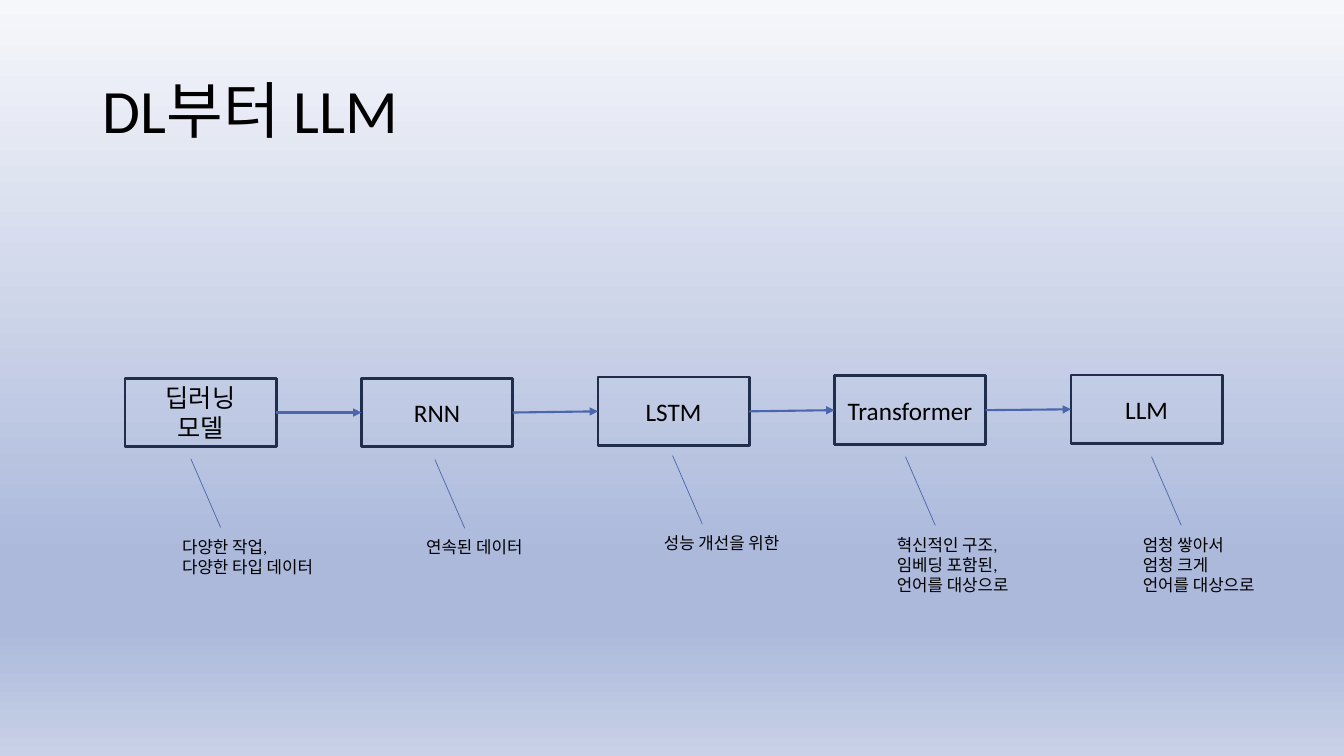
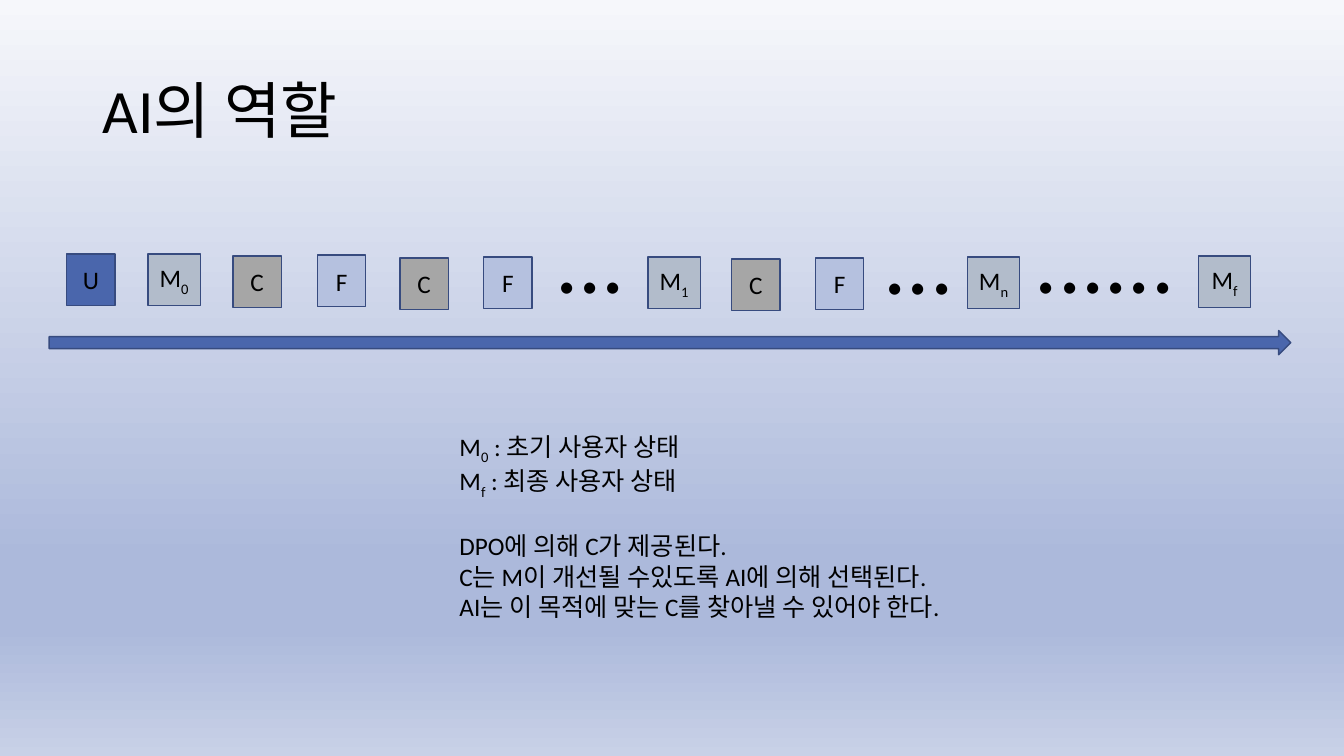
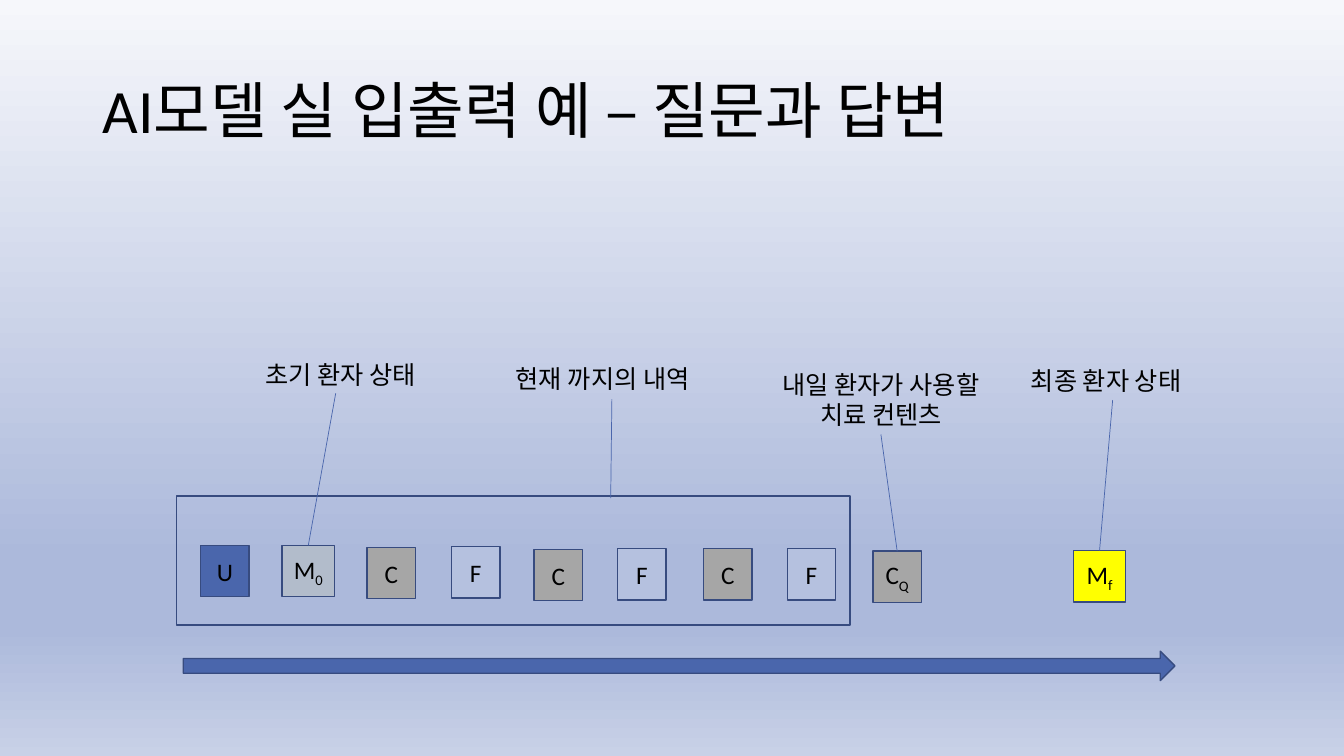
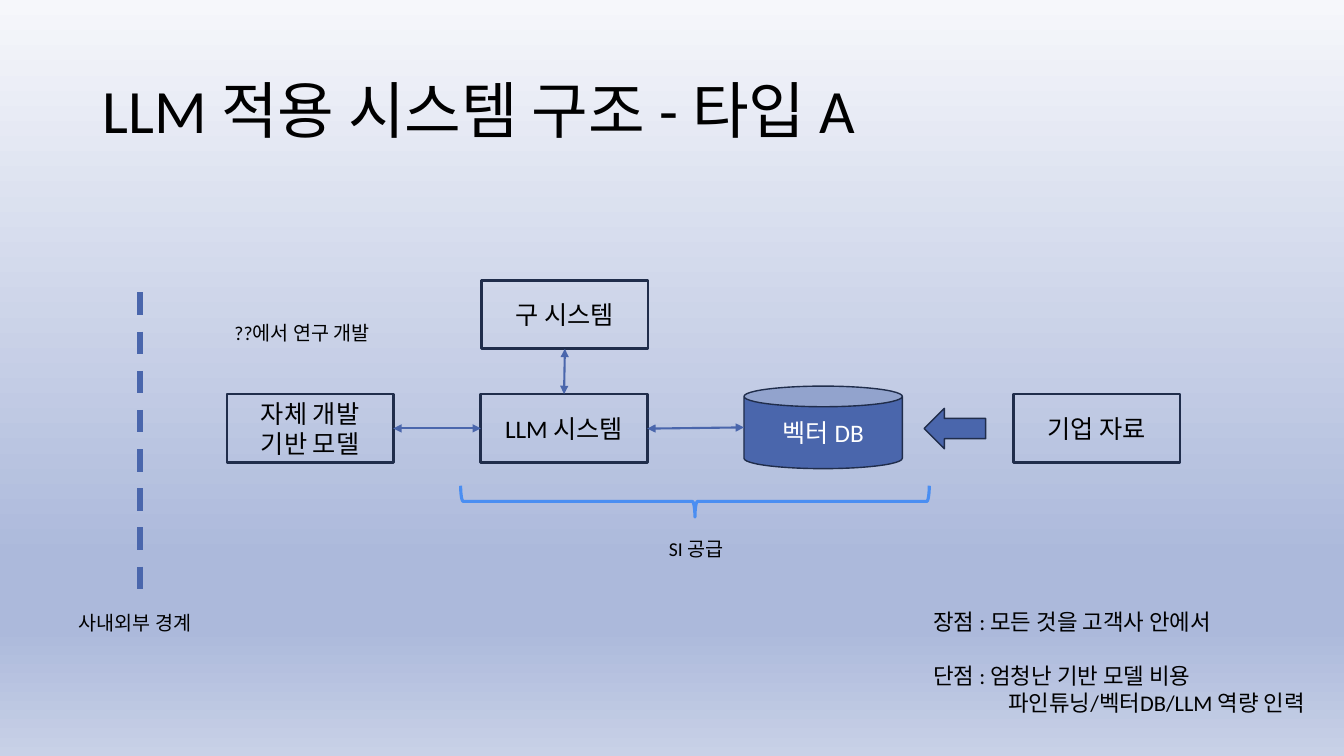
"""Build a four-slide deck on language models and their use in a system."""
from dataclasses import dataclass

from lxml.etree import SubElement
from pptx import Presentation
from pptx.dml.color import RGBColor
from pptx.enum.dml import MSO_LINE
from pptx.enum.shapes import MSO_CONNECTOR, MSO_SHAPE as Preset
from pptx.enum.text import MSO_ANCHOR as Anchor, MSO_AUTO_SIZE as AutoSize, PP_ALIGN as Align
from pptx.oxml.ns import qn
from pptx.util import Cm, Pt


@dataclass(frozen=True)
class Theme:
    """Colours, font and type sizes of the deck."""
    font: str = "Calibri"
    ink: str = "000000"
    white: str = "FFFFFF"
    accent: str = "4A66AC"
    edge: str = "374B7F"
    dark_edge: str = "202D4B"
    brace: str = "4A8EF2"
    content: str = "A6A6A6"
    state: str = "B2BCCB"
    feedback: str = "B5C1DF"
    highlight: str = "FFFF00"
    background: tuple = ((0, "F6F7FB"), (74, "ACB9DB"), (83, "ACB9DB"), (100, "C8D1E7"))
    title: int = 44
    dots: int = 66
    body: int = 18
    remark: int = 16
    label: int = 14
    note: int = 12


THEME = Theme()
TOP, LEFT, BOTTOM, RIGHT = range(4)

MODEL_SIZE = (3.81, 1.73)
MODEL_LEFT, MODEL_PITCH = 3.15, 5.96
MODELS = [
    (["딥러닝", "모델"], 9.53, ["다양한 작업,", "다양한 타입 데이터"], (4.34, 13.39, 4.14, 1.27)),
    (["RNN"], 9.53, ["연속된 데이터"], (10.49, 13.41, 3.18, 0.76)),
    (["LSTM"], 9.5, ["성능 개선을 위한"], (16.48, 13.31, 3.71, 0.76)),
    (["Transformer"], 9.47, ["혁신적인 구조,", "임베딩 포함된,", "언어를 대상으로"],
     (22.35, 13.34, 3.61, 1.8)),
    (["LLM"], 9.45, ["엄청 쌓아서", "엄청 크게", "언어를 대상으로"], (28.55, 13.34, 3.61, 1.8)),
]

TILE_FILLS = {"U": THEME.accent, "M": THEME.state, "C": THEME.content, "F": THEME.feedback}
OPENING = [("U", 1.68, 6.4), ("M_0", 3.73, 6.4), ("C", 5.87, 6.45),
           ("F", 8, 6.43), ("C", 10.08, 6.5), ("F", 12.19, 6.48)]
ROLE_TILES = [("M_1", 16.33, 6.48), ("C", 18.44, 6.53), ("F", 20.55, 6.5),
              ("M_n", 24.38, 6.48), ("M_f", 30.2, 6.45)]
ROLE_DOTS = [("...", (13.74, 4.95, 2.29, 3.07)), ("...", (22.02, 4.98, 2.29, 3.07)),
             ("......", (25.83, 4.95, 4.06, 3.07))]
ROLE_NOTES = ["M_0 : 초기 사용자 상태", "M_f : 최종 사용자 상태", "DPO에 의해 C가 제공된다.",
              "C는 M이 개선될 수있도록 AI에 의해 선택된다.",
              "AI는 이 목적에 맞는 C를 찾아낼 수 있어야 한다."]

EXAMPLE_SHIFT = (3.38, 7.34)
EXAMPLE_TILES = [("C", 17.73, 13.82), ("F", 19.84, 13.82), ("C_Q", 22, 13.89)]
EXAMPLE_LABELS = [
    (["초기 환자 상태"], (6.43, 8.94, 4.65, 1.02), (8.46, 9.91), (7.77, 13.74)),
    (["현재 까지의 내역"], (12.75, 9.04, 5.28, 1.02), (15.42, 10.06), (15.39, 12.55)),
    (["내일 환자가 사용할", "치료 컨텐츠"], (19.23, 9.17, 5.94, 1.8), (22.2, 10.95), (22.61, 13.89)),
    (["최종 환자 상태"], (25.73, 9.07, 4.65, 1.02), (28.04, 10.08), (27.71, 13.87)),
]

SYSTEM_SIZE = (4.19, 1.73)
SYSTEM_BOXES = {"자체 개발 기반 모델": (5.72, 9.93), "LLM 시스템": (12.12, 9.93),
                "구 시스템": (12.14, 7.06), "기업 자료": (25.55, 9.93)}
SYSTEM_LABELS = [("사내외부 경계", (1.73, 15.27, 3.61, 0.86)),
                 ("??에서 연구 개발", (5.66, 7.95, 4.19, 0.86)),
                 ("SI 공급", (16.61, 13.41, 1.98, 0.86))]
SYSTEM_REMARKS = ["장점 : 모든 것을 고객사 안에서", "단점 : 엄청난 기반 모델 비용",
                  "파인튜닝/벡터DB/LLM 역량 인력"]


def rgb(value):
    return RGBColor.from_string(value)


def write(frame, lines, size, color=THEME.ink, align=Align.LEFT):
    """Fill a text frame; an underscore lowers the character after it."""
    for index, line in enumerate(lines):
        paragraph = frame.add_paragraph() if index else frame.paragraphs[0]
        paragraph.alignment = align
        first, *rest = line.split("_")
        pieces = [(first, False)]
        for part in rest:
            pieces += [(part[0], True), (part[1:], False)]
        for text, lowered in pieces:
            if not text:
                continue
            run = paragraph.add_run()
            run.text = text
            run.font.name, run.font.size = THEME.font, Pt(size)
            run.font.color.rgb = rgb(color)
            if lowered:
                run.font._element.set("baseline", "-25000")


def add_text(slide, lines, box, size, align=Align.LEFT):
    frame = slide.shapes.add_textbox(*map(Cm, box)).text_frame
    frame.word_wrap = False
    frame.auto_size = AutoSize.SHAPE_TO_FIT_TEXT
    write(frame, lines, size, align=align)
    return frame.paragraphs


def add_block(slide, preset, box, fill=None, edge=THEME.edge, width=1, lines=(), color=THEME.ink):
    shape = slide.shapes.add_shape(preset, *map(Cm, box))
    shape.shadow.inherit = False
    if fill:
        shape.fill.solid()
        shape.fill.fore_color.rgb = rgb(fill)
    else:
        shape.fill.background()
    shape.line.color.rgb = rgb(edge)
    shape.line.width = Pt(width)
    shape.text_frame.vertical_anchor = Anchor.MIDDLE
    write(shape.text_frame, lines, THEME.body, color, Align.CENTER)
    return shape


def add_box(slide, lines, corner, size):
    return add_block(slide, Preset.RECTANGLE, (*corner, *size), None, THEME.dark_edge, 2, lines)


def add_line(slide, start, end, width=0.5, heads=()):
    line = slide.shapes.add_connector(MSO_CONNECTOR.STRAIGHT, *map(Cm, (*start, *end)))
    line.line.color.rgb = rgb(THEME.accent)
    line.line.width = Pt(width)
    properties = line.element.spPr
    for head in heads:
        SubElement(properties.find(qn("a:ln")), qn(f"a:{head}"), type="triangle")
    SubElement(properties, qn("a:effectLst"))
    return line


def connect(slide, start, start_site, end, end_site, heads):
    line = add_line(slide, (0, 0), (1, 1), 1.5, heads)
    line.begin_connect(start, start_site)
    line.end_connect(end, end_site)


def add_tiles(slide, tiles, shift=(0, 0), fill=None):
    for label, left, top in tiles:
        width = 1.32 if label[0] == "M" else 1.22
        box = (left + shift[0], top + shift[1], width, 1.3)
        add_block(slide, Preset.RECTANGLE, box, fill or TILE_FILLS[label[0]], lines=[label])


def set_background(master):
    fill = master.background.fill
    fill.gradient()
    fill.gradient_angle = 270
    stops = master.element.find(f".//{qn('a:gsLst')}")
    for stop in list(stops):
        stops.remove(stop)
    for position, color in THEME.background:
        stop = SubElement(stops, qn("a:gs"), pos=str(position * 1000))
        SubElement(stop, qn("a:srgbClr"), val=color)


def add_slide(presentation, heading):
    slide = presentation.slides.add_slide(presentation.slide_layouts[5])
    title = slide.shapes.title
    title.left, title.top, title.width, title.height = map(Cm, (2.33, 1.02, 29.21, 3.68))
    frame = title.text_frame
    frame.auto_size = AutoSize.NONE
    frame.vertical_anchor = Anchor.MIDDLE
    write(frame, [heading], THEME.title)
    frame.paragraphs[0].line_spacing = 0.9
    return slide


def build_history(presentation):
    slide = add_slide(presentation, "DL부터 LLM")
    boxes = []
    for index, (name, top, note, (left, note_top, width, height)) in enumerate(MODELS):
        boxes.append(add_box(slide, name, (MODEL_LEFT + index * MODEL_PITCH, top), MODEL_SIZE))
        add_text(slide, note, (left, note_top, width, height), THEME.note)
        add_line(slide, (left + 0.47, note_top - 1.83), (left + 1.22, note_top - 0.1))
    for start, end in zip(boxes, boxes[1:]):
        connect(slide, start, RIGHT, end, LEFT, ["tailEnd"])


def build_role(presentation):
    slide = add_slide(presentation, "AI의 역할")
    notes = add_text(slide, ROLE_NOTES, (11.33, 10.74, 13.61, 4.88), THEME.body)
    notes[2].space_before = Pt(22)
    add_tiles(slide, OPENING + ROLE_TILES)
    for dots, box in ROLE_DOTS:
        add_text(slide, [dots], box, THEME.dots)
    add_block(slide, Preset.RIGHT_ARROW, (1.24, 8.33, 31.29, 0.61), THEME.accent)


def build_example(presentation):
    slide = add_slide(presentation, "AI모델 실 입출력 예 – 질문과 답변")
    add_block(slide, Preset.RECTANGLE, (4.45, 12.5, 16.97, 3.25))
    add_tiles(slide, OPENING, EXAMPLE_SHIFT)
    add_tiles(slide, EXAMPLE_TILES)
    add_tiles(slide, [("M_f", 27.05, 13.87)], fill=THEME.highlight)
    add_block(slide, Preset.RIGHT_ARROW, (4.62, 16.41, 24.99, 0.74), THEME.accent)
    for lines, box, start, end in EXAMPLE_LABELS:
        add_text(slide, lines, box, THEME.body, Align.CENTER if len(lines) > 1 else Align.LEFT)
        add_line(slide, start, end)


def build_system(presentation):
    slide = add_slide(presentation, "LLM 적용 시스템 구조 - 타입 A")
    border = add_line(slide, (3.53, 7.37), (3.53, 14.83), 4)
    border.line.dash_style = MSO_LINE.DASH
    for text, box in SYSTEM_LABELS:
        add_text(slide, [text], box, THEME.label)
    brace = add_block(slide, Preset.LEFT_BRACE, (17.12, 6.73, 0.79, 11.81), None, THEME.brace, 2.25)
    brace.rotation = 270
    base, system, legacy, _ = [add_box(slide, [name], corner, SYSTEM_SIZE)
                               for name, corner in SYSTEM_BOXES.items()]
    add_block(slide, Preset.CAN, (18.75, 9.73, 3.99, 2.08), THEME.accent, THEME.dark_edge,
              lines=["벡터 DB"], color=THEME.white)
    add_block(slide, Preset.LEFT_ARROW, (23.29, 10.29, 1.55, 1.02), THEME.accent, THEME.dark_edge)
    both = ["headEnd", "tailEnd"]
    connect(slide, base, RIGHT, system, LEFT, both)
    connect(slide, legacy, BOTTOM, system, TOP, both)
    add_line(slide, (16.31, 10.8), (18.75, 10.77), 1.5, both)
    remarks = add_text(slide, SYSTEM_REMARKS, (23.27, 15.21, 10.08, 3), THEME.remark)
    remarks[1].space_before = Pt(19)
    remarks[2]._p.get_or_add_pPr().set("indent", str(Cm(1.89)))


def main():
    presentation = Presentation()
    presentation.slide_width, presentation.slide_height = Cm(33.87), Cm(19.05)
    set_background(presentation.slide_master)
    for build in (build_history, build_role, build_example, build_system):
        build(presentation)
    presentation.save("out.pptx")


if __name__ == "__main__":
    main()
